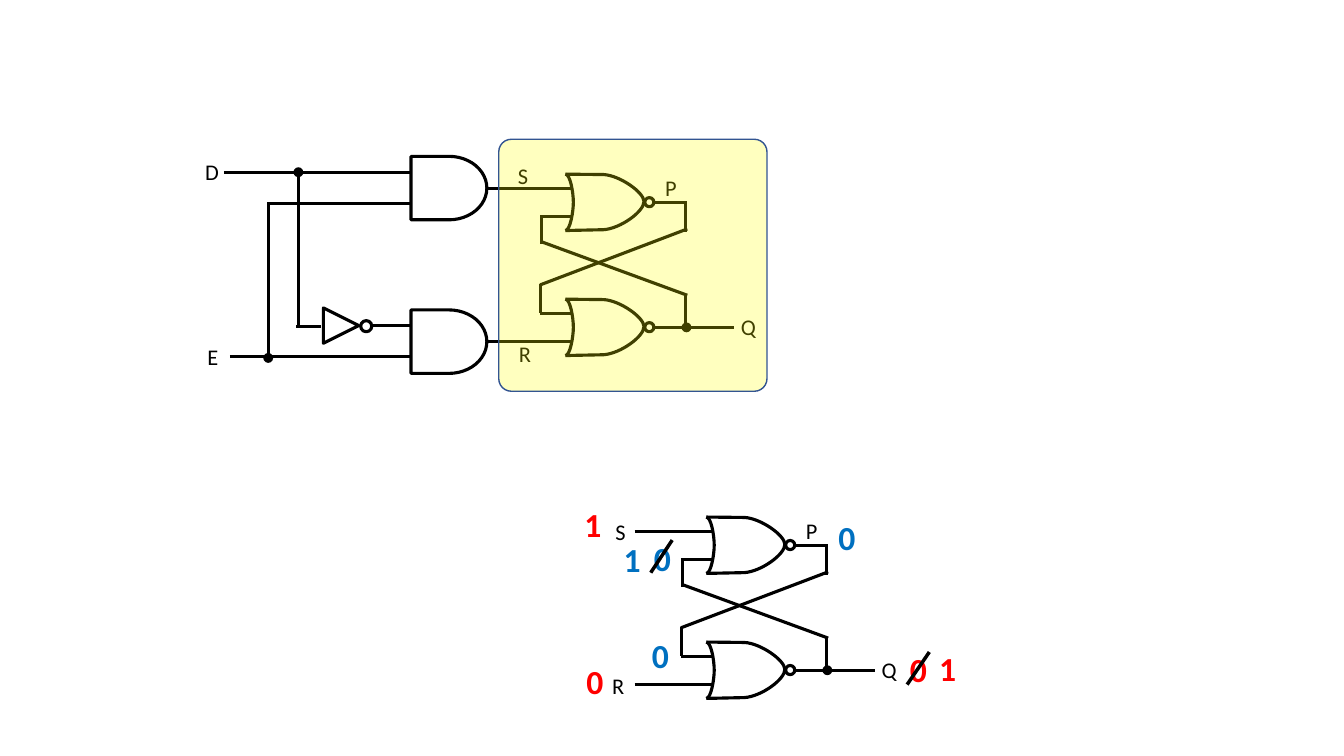
import pptx
import pptx.util
import pptx.dml.color
import pptx.enum.shapes
import pptx.enum.text
import pptx.oxml
import pptx.oxml.ns
from lxml import etree
from dataclasses import dataclass

Cm = pptx.util.Cm
Shape = pptx.enum.shapes.MSO_SHAPE


@dataclass(frozen=True)
class Theme:
    font: str = "Calibri"
    ink: str = "000000"
    red: str = "FF0000"
    blue: str = "0070C0"
    panel: str = "FFFF00"
    panel_edge: str = "325491"
    panel_alpha: int = 25000
    label_size: int = 16
    value_size: int = 24
    wire: float = 2.25
    strike: float = 2.5


theme = Theme()

UPPER_LATCH = (13.61, 4.39)
LOWER_LATCH = (17.16, 13.03)
GATE_PITCH = 3.15
NOR_BODY = [(0.64, 0), [(1.6, 0.01)],
            [(2.01, 0.03), (2.62, 0.46), (2.62, 0.69)],
            [(2.62, 0.94), (2.03, 1.37), (1.6, 1.4)], [(0.64, 1.42)]]
NOR_BACK = [(0.64, 1.42), [(0.76, 1.42), (0.84, 0.94), (0.84, 0.71)],
            [(0.84, 0.46), (0.76, 0), (0.64, 0)]]
NOR_GATES = [
    {"row": 0, "inputs": (-1.17, 0), "output_end": 3.71},
    {"row": 1, "inputs": (0, -1.17), "output_end": 4.9},
]
FEEDBACK = [
    (0.03, 1.04, 0.03, 1.75), (0.03, 1.7, 3.71, 3.05), (3.67, 3.78, 3.67, 3.02),
    (3.67, 1.45, 3.67, 0.69), (0, 2.79, 3.71, 1.38), (0.01, 2.77, 0.01, 3.49),
]
LATCH_JUNCTION = (3.69, 3.86)
LATCH_LABELS = [("P", 2.9, -0.13, 0.81), ("Q", 4.81, 3.38, 0.89)]

AND_GATES = [(3.94, (5.64, 6.73)), (7.81, (9.47, 5.79))]
INVERTER_WIRES = [(7.47, 8.23, 8.1, 8.23), (9.37, 8.2, 9.98, 8.2)]
BRANCHES = [(7.52, 8.23, 7.52, 4.34), (6.76, 9.02, 6.76, 5.13)]
BRANCH_JUNCTIONS = [(7.52, 4.34), (6.76, 9.02)]
UPPER_LABELS = [("S", 12.8, 3.96, 0.79), ("R", 12.83, 8.45, 0.81),
                ("D", 4.92, 3.86, 0.86), ("E", 4.98, 8.53, 0.79)]
LOWER_LABELS = [("S", 15.26, 12.92, 0.79), ("R", 15.18, 16.81, 0.81)]
VALUES = [
    ("0", 14.53, 16.54, theme.red), ("1", 14.48, 12.57, theme.red),
    ("0", 22.68, 16.23, theme.red), ("0", 16.23, 13.44, theme.blue),
    ("0", 20.88, 12.91, theme.blue), ("0", 16.18, 15.88, theme.blue),
    ("1", 15.47, 13.46, theme.blue), ("1", 23.42, 16.21, theme.red),
]
STRIKES = [(22.86, 17.25, 23.42, 16.43), (16.4, 14.43, 16.94, 13.61)]


def rgb(value):
    return pptx.dml.color.RGBColor.from_string(value)


def outline(shape, width=theme.wire, color=theme.ink):
    shape.line.color.rgb = rgb(color)
    shape.line.width = pptx.util.Pt(width)


def add_wire(shapes, x1, y1, x2, y2, width=theme.wire):
    wire = shapes.add_connector(pptx.enum.shapes.MSO_CONNECTOR.STRAIGHT,
                                Cm(x1), Cm(y1), Cm(x2), Cm(y2))
    outline(wire, width)
    etree.SubElement(wire._element.spPr, pptx.oxml.ns.qn("a:effectLst"))
    return wire


def add_outlined(shapes, kind, x, y, width, height):
    shape = shapes.add_shape(kind, Cm(x), Cm(y), Cm(width), Cm(height))
    shape.shadow.inherit = False
    shape.fill.background()
    outline(shape)
    return shape


def add_junction(shapes, x, y, size=0.25):
    dot = add_outlined(shapes, Shape.OVAL, x - size / 2, y - size / 2, size, size)
    dot.fill.solid()
    dot.fill.fore_color.rgb = rgb(theme.ink)
    dot.line.fill.background()


def add_text(shapes, text, x, y, width, height, size, color=theme.ink, bold=False):
    box = shapes.add_textbox(Cm(x), Cm(y), Cm(width), Cm(height))
    frame = box.text_frame
    frame.text = text
    frame.word_wrap = False
    frame.auto_size = pptx.enum.text.MSO_AUTO_SIZE.SHAPE_TO_FIT_TEXT
    font = frame.paragraphs[0].runs[0].font
    font.name, font.size, font.bold = theme.font, pptx.util.Pt(size), bold
    font.color.rgb = rgb(color)


def add_labels(shapes, labels, left=0, top=0):
    for text, x, y, width in labels:
        add_text(shapes, text, left + x, top + y, width, 0.94, theme.label_size)


def add_curve(shapes, left, top, start, *segments):
    points = [(Cm(left + x), Cm(top + y))
              for x, y in [start, *(point for segment in segments for point in segment)]]
    builder = shapes.build_freeform(*points[0])
    builder.add_line_segments(points[1:], close=False)
    curve = builder.convert_to_shape()
    curve.shadow.inherit = False
    curve.fill.background()
    outline(curve)
    steps = iter(list(curve._element.iter(pptx.oxml.ns.qn("a:lnTo"))))
    for segment in segments:
        first, *others = [next(steps) for point in segment]
        if others:
            first.tag = pptx.oxml.ns.qn("a:cubicBezTo")
        for other in others:
            first.append(other[0])
            other.getparent().remove(other)


def add_nor_gate(page, left, top, inputs, output_end):
    gate = page.shapes.add_group_shape().shapes
    for start, y in zip(inputs, (0.36, 1.07)):
        add_wire(gate, left + start, top + y, left + 0.81, top + y)
    for curve in (NOR_BODY, NOR_BACK):
        add_curve(gate, left, top, *curve)
    add_wire(gate, left + 2.87, top + 0.71, left + output_end, top + 0.71)
    add_outlined(gate, Shape.OVAL, left + 2.64, top + 0.59, 0.23, 0.23)


def add_latch(page, left, top):
    for gate in NOR_GATES:
        add_nor_gate(page, left, top + gate["row"] * GATE_PITCH,
                     gate["inputs"], gate["output_end"])
    add_junction(page.shapes, left + LATCH_JUNCTION[0], top + LATCH_JUNCTION[1])
    for x1, y1, x2, y2 in FEEDBACK:
        add_wire(page.shapes, left + x1, top + y1, left + x2, top + y2)
    add_labels(page.shapes, LATCH_LABELS, left, top)


def add_and_gate(page, top, inputs):
    gate = page.shapes.add_group_shape().shapes
    for start, y in zip(inputs, (0.4, 1.18)):
        add_wire(gate, start, top + y, 10.36, top + y)
    body = add_outlined(gate, Shape.FLOWCHART_DELAY, 10.36, top, 1.91, 1.6)
    output = add_wire(gate, 12.27, top + 0.8, 12.87, top + 0.8)
    output.begin_connect(body, 3)


def add_inverter(page):
    inverter = page.shapes.add_group_shape().shapes
    for wire in INVERTER_WIRES:
        add_wire(inverter, *wire)
    add_outlined(inverter, Shape.OVAL, 9.09, 8.08, 0.28, 0.28)
    triangle = add_outlined(inverter, Shape.ISOSCELES_TRIANGLE, 8.15, 7.76, 0.89, 0.89)
    triangle.rotation = 90


def add_panel(page):
    panel = add_outlined(page.shapes, Shape.ROUNDED_RECTANGLE, 12.57, 3.51, 6.76, 6.35)
    panel.adjustments[0] = 0.05
    panel.fill.solid()
    panel.fill.fore_color.rgb = rgb(theme.panel)
    tint = panel._element.spPr.find(".//" + pptx.oxml.ns.qn("a:srgbClr"))
    etree.SubElement(tint, pptx.oxml.ns.qn("a:alpha"), val=str(theme.panel_alpha))
    outline(panel, 1, theme.panel_edge)


def main():
    deck = pptx.Presentation()
    deck.slide_width, deck.slide_height = Cm(33.87), Cm(19.05)
    page = deck.slides.add_slide(deck.slide_layouts[6])
    add_latch(page, *UPPER_LATCH)
    for top, inputs in AND_GATES:
        add_and_gate(page, top, inputs)
    add_inverter(page)
    for branch, junction in zip(BRANCHES, BRANCH_JUNCTIONS):
        add_wire(page.shapes, *branch)
        add_junction(page.shapes, *junction)
    add_labels(page.shapes, UPPER_LABELS)
    add_panel(page)
    add_latch(page, *LOWER_LATCH)
    add_labels(page.shapes, LOWER_LABELS)
    for text, x, y, color in VALUES:
        add_text(page.shapes, text, x, y, 0.94, 1.27, theme.value_size, color, True)
    for strike in STRIKES:
        add_wire(page.shapes, *strike, width=theme.strike)
    deck.save("out.pptx")


if __name__ == "__main__":
    main()
